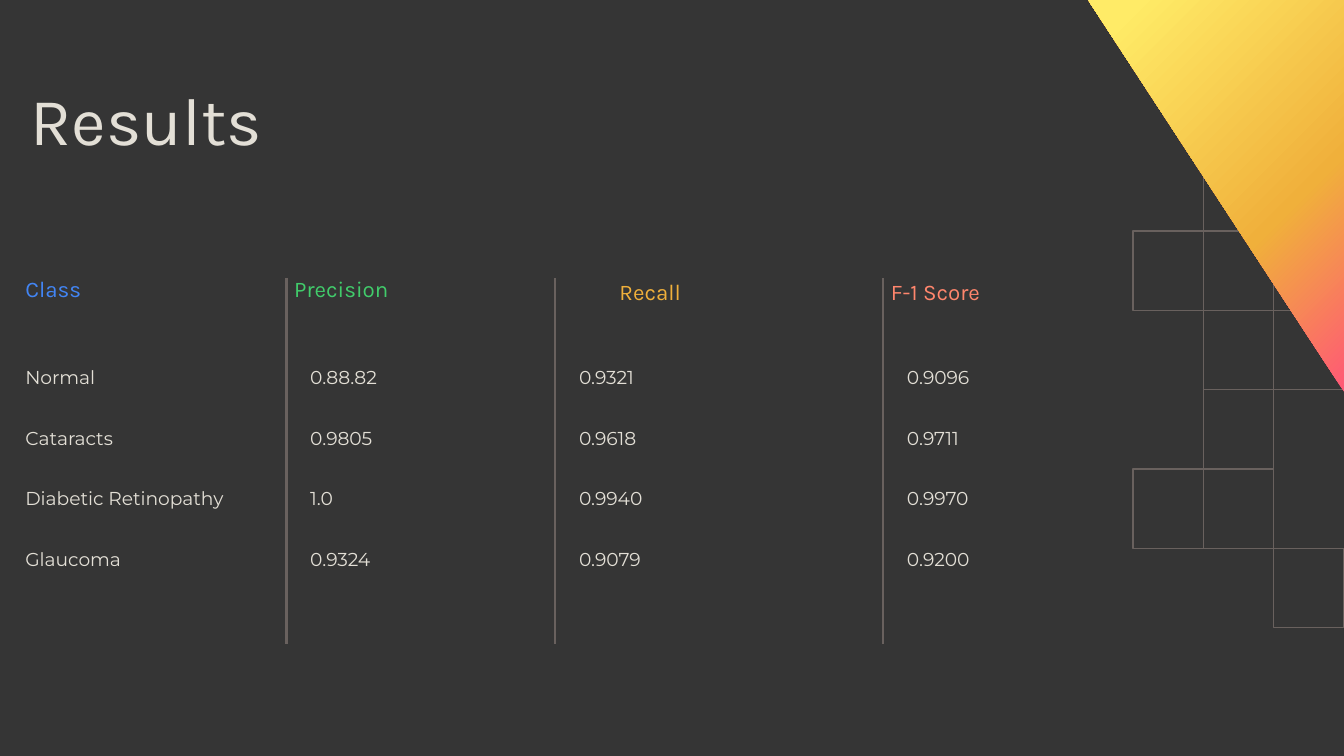
from dataclasses import dataclass

from lxml.etree import SubElement
from pptx import Presentation
from pptx.dml.color import RGBColor
from pptx.enum.shapes import MSO_CONNECTOR, MSO_SHAPE
from pptx.oxml.ns import qn
from pptx.util import Inches, Pt

BACKGROUND, CREAM, GREY = "353535", "E3DFD6", "69615E"
SLIDE_WIDTH = 10
SLIDE_HEIGHT = SLIDE_WIDTH * 9 / 16
TABLE_TOP, VALUES_TOP, TABLE_BOTTOM = 2.07, 2.64, 4.79
COLUMN_WIDTH = 2.01
CELL_LEFT, CELL_TOP, CELL_HEIGHT = 8.43, 1.13, 0.59
CELL_WIDTH = (SLIDE_WIDTH - CELL_LEFT) / 3
GRID_CELLS = [(1, 0), (2, 5), (2, 0), (0, 1), (1, 1), (2, 1),
              (0, 4), (1, 2), (2, 2), (1, 4), (1, 3)]  # column, row
DIVIDERS = [2.13, 4.13, 6.57]


@dataclass
class ResultColumn:
    header: str
    color: str
    header_left: float
    values_left: float
    values: list[str]
    header_spacing: float


COLUMNS = [
    ResultColumn("Class", "4285F4", 0.09, 0.09,
                 ["Normal", "Cataracts", "Diabetic Retinopathy", "Glaucoma"], 0.9),
    ResultColumn("Precision", "41CC6B", 2.09, 2.21,
                 ["0.88.82", "0.9805", "1.0", "0.9324"], 0.9),
    ResultColumn("Recall", "F0B03B", 4.51, 4.21,
                 ["0.9321", "0.9618", "0.9940", "0.9079"], 1.0),
    ResultColumn("F-1 Score", "FF866D", 6.53, 6.65,
                 ["0.9096", "0.9711", "0.9970", "0.9200"], 1.0),
]


def rgb(color: str) -> RGBColor:
    return RGBColor.from_string(color)


def add_text(slide, left: float, top: float, width: float, height: float,
             lines: list[str], font: str, size: float, color: str,
             spacing: float, inset_top: float = 0.1, inset_right: float = 0.1,
             gap: float = 0) -> None:
    """Add a text box with one paragraph a line, gap points apart."""
    frame = slide.shapes.add_textbox(
        Inches(left), Inches(top), Inches(width), Inches(height)).text_frame
    frame.word_wrap = True
    frame.margin_left = frame.margin_bottom = Inches(0.1)
    frame.margin_top, frame.margin_right = Inches(inset_top), Inches(inset_right)
    frame.text = "\n".join(lines)
    for paragraph in frame.paragraphs:
        paragraph.line_spacing = spacing
        paragraph.space_after = Pt(gap)
        run_font = paragraph.runs[0].font
        run_font.name, run_font.size = font, Pt(size)
        run_font.color.rgb = rgb(color)


def add_grid_cell(slide, column: int, row: int) -> None:
    cell = slide.shapes.add_shape(
        MSO_SHAPE.RECTANGLE,
        Inches(CELL_LEFT + column * CELL_WIDTH), Inches(CELL_TOP + row * CELL_HEIGHT),
        Inches(CELL_WIDTH), Inches(CELL_HEIGHT))
    cell.shadow.inherit = False
    cell.fill.background()
    cell.line.color.rgb = rgb(GREY)
    cell.line.width = Pt(0.75)


def add_corner(slide) -> None:
    """Add the gradient triangle in the top right corner."""
    builder = slide.shapes.build_freeform(Inches(8.09), Inches(-0.01))
    builder.add_line_segments(
        [(Inches(10.01), Inches(-0.01)), (Inches(10.01), Inches(2.93))], close=True)
    corner = builder.convert_to_shape()
    corner.shadow.inherit = False
    corner.line.fill.background()
    corner.fill.gradient()
    gradient = corner._element.spPr.find(qn("a:gradFill"))
    stops = gradient.find(qn("a:gsLst"))
    stops.clear()
    for position, color in [(0, "FF5777"), (37, "F0B03B"), (92, "FFEB67"), (100, "FFEB67")]:
        stop = SubElement(stops, qn("a:gs"), pos=str(position * 1000))
        SubElement(stop, qn("a:srgbClr"), val=color)
    gradient.find(qn("a:lin")).set("ang", str(225 * 60000))


def add_divider(slide, x: float) -> None:
    divider = slide.shapes.add_connector(
        MSO_CONNECTOR.STRAIGHT, Inches(x), Inches(TABLE_TOP), Inches(x), Inches(TABLE_BOTTOM))
    divider.line.color.rgb = rgb(GREY)
    divider.line.width = Pt(1.5)
    SubElement(divider._element.spPr, qn("a:effectLst"))


def add_column(slide, column: ResultColumn) -> None:
    add_text(slide, column.header_left, TABLE_TOP, COLUMN_WIDTH, VALUES_TOP - TABLE_TOP,
             [column.header], "Karla", 12, column.color, column.header_spacing, inset_top=0)
    add_text(slide, column.values_left, VALUES_TOP, COLUMN_WIDTH, TABLE_BOTTOM - VALUES_TOP,
             column.values, "Montserrat", 10, CREAM, 0.9, inset_right=0, gap=21.7)


def main() -> None:
    prs = Presentation()
    prs.slide_width, prs.slide_height = Inches(SLIDE_WIDTH), Inches(SLIDE_HEIGHT)
    slide = prs.slides.add_slide(prs.slide_layouts[6])
    slide.background.fill.solid()
    slide.background.fill.fore_color.rgb = rgb(BACKGROUND)

    for column, row in GRID_CELLS:
        add_grid_cell(slide, column, row)
    add_corner(slide)
    add_text(slide, 0.13, 0.55, 6.62, 0.75, ["Results"], "Karla", 36, CREAM, 0.9)
    for x in DIVIDERS:
        add_divider(slide, x)
    for column in COLUMNS:
        add_column(slide, column)
    prs.save("out.pptx")


if __name__ == "__main__":
    main()
